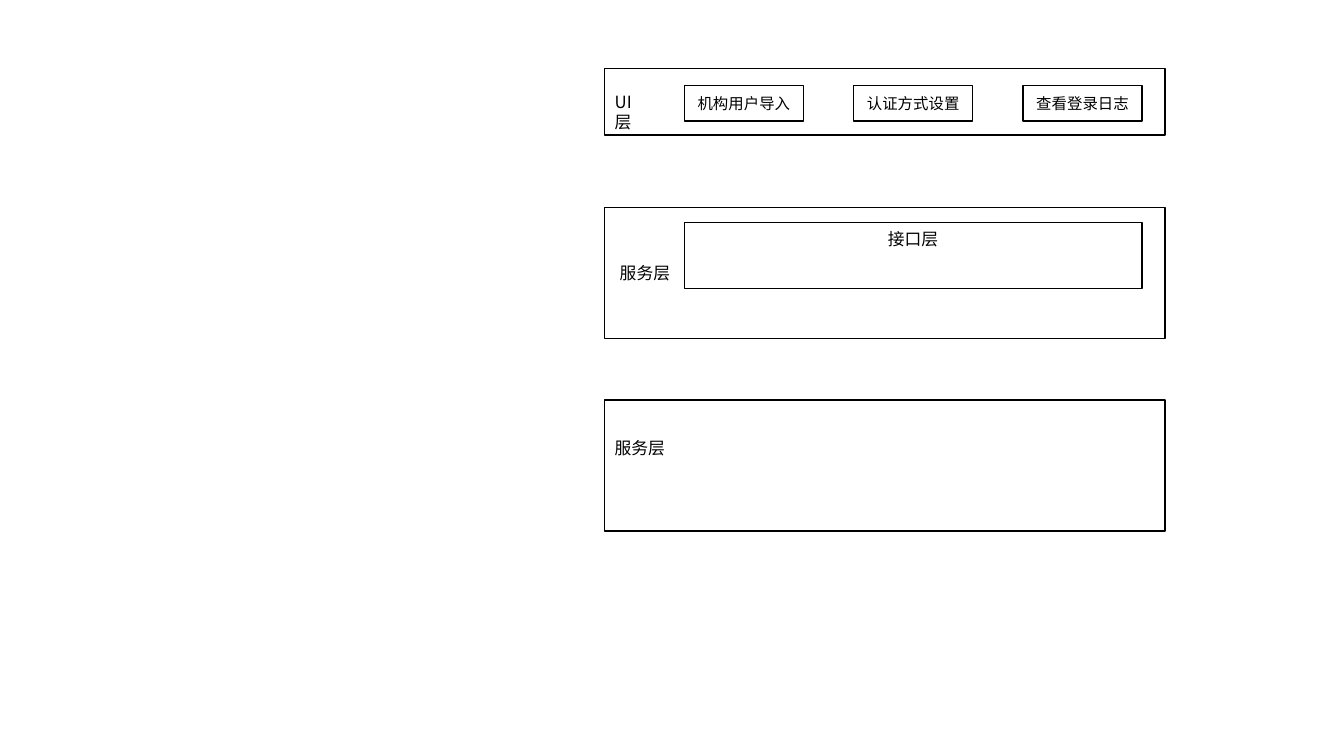
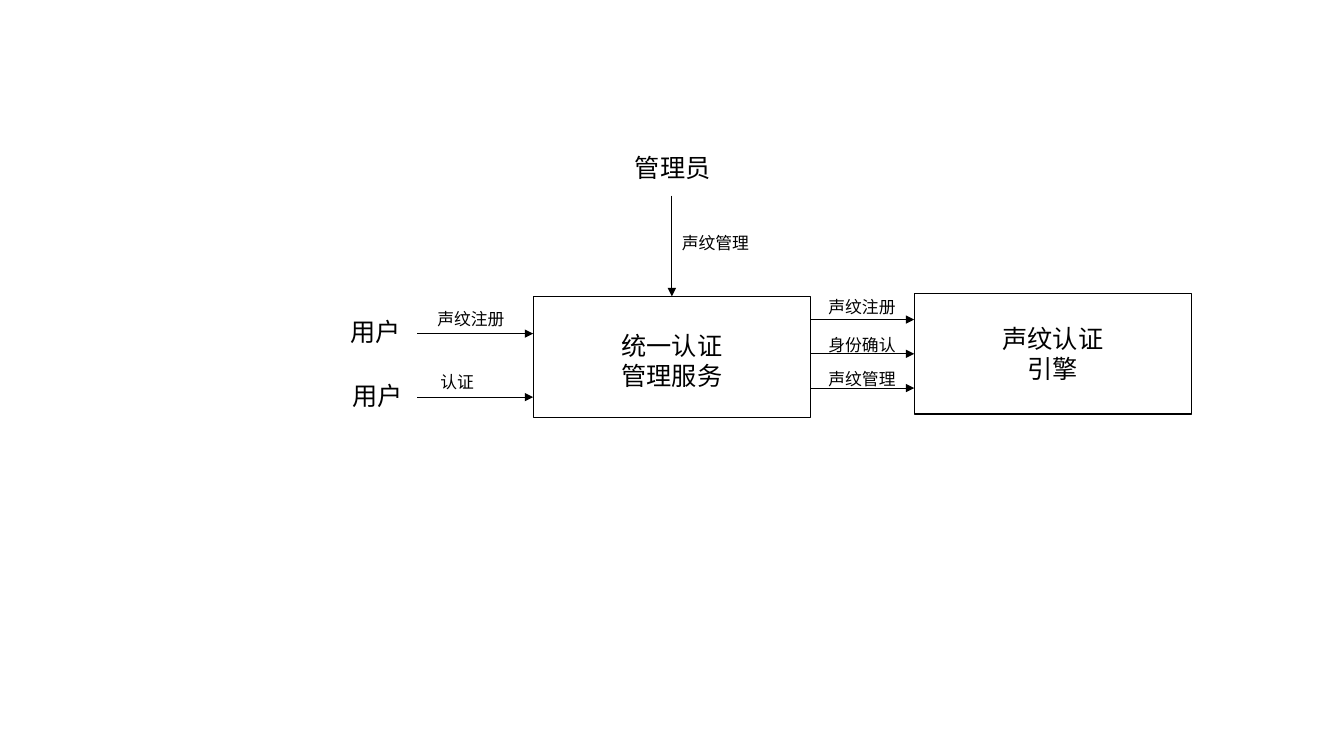
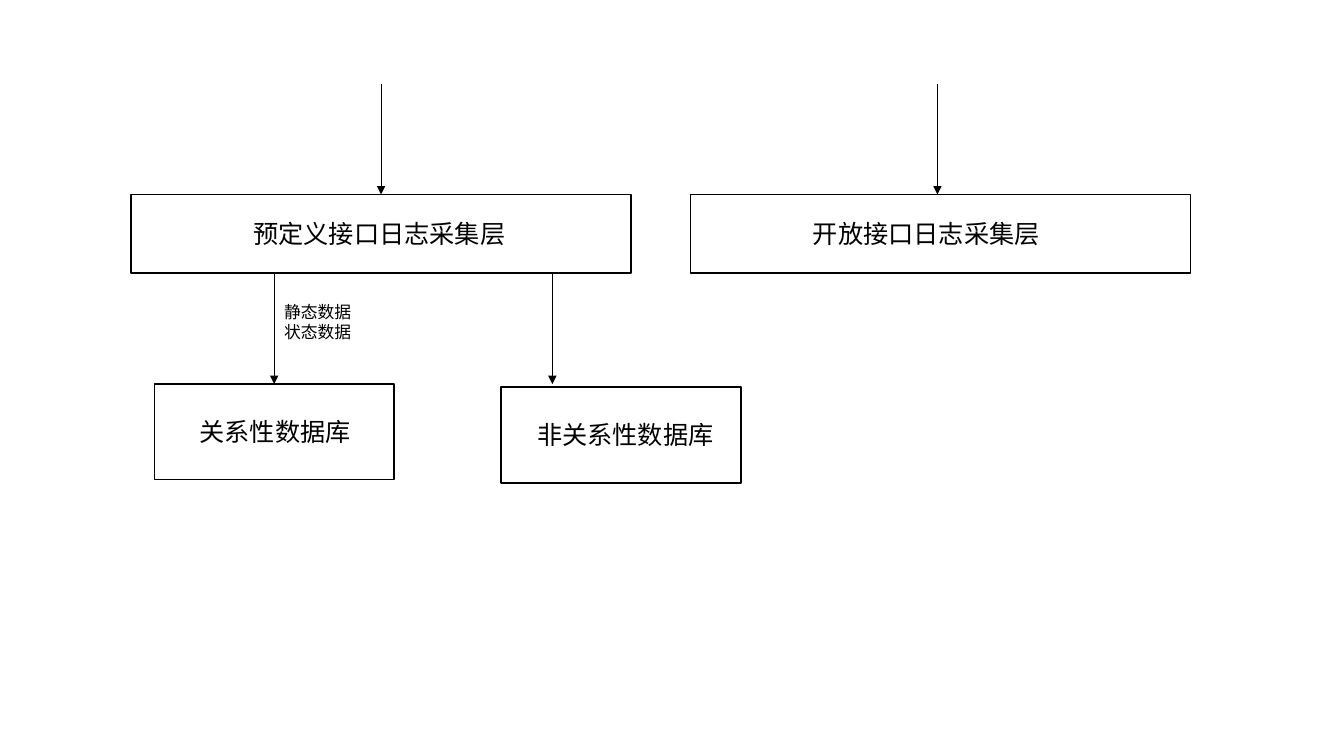
from dataclasses import dataclass

from lxml import etree
from pptx import Presentation
from pptx.dml.color import RGBColor
from pptx.enum.shapes import MSO_CONNECTOR as Connector, MSO_SHAPE as Preset
from pptx.enum.text import MSO_ANCHOR as Anchor, MSO_AUTO_SIZE as AutoSize, PP_ALIGN as Align
from pptx.oxml.ns import qn
from pptx.util import Inches, Pt


@dataclass(frozen=True)
class Theme:
    ink: RGBColor = RGBColor(0, 0, 0)
    cjk: str = "Noto Sans CJK SC"
    latin: str = "Calibri"
    button_size: int = 11
    label_size: int = 12
    name_size: int = 18
    frame_width: float = 1
    arrow_width: float = 0.5


THEME = Theme()
COLUMNS, ROWS = 133.33, 75  # square grid cells on the slide
CELL = 0.1  # inches per grid cell
INSET = 0.1  # side margin of a text box, inches


def grid(cells):
    return Inches(cells * CELL)


@dataclass(frozen=True)
class Box:
    """A region in grid cells."""
    left: float
    top: float
    width: float
    height: float

    def region(self, column, row, width, height):
        return Box(self.left + column, self.top + row, width, height)

    def point(self, column, row):
        return self.left + column, self.top + row

    def lengths(self):
        return [grid(cells) for cells in (self.left, self.top, self.width, self.height)]


# Shared parts

def style_text(frame, text, size, font, align):
    frame.text = text
    for paragraph in frame.paragraphs:
        paragraph.alignment = align
        for run in paragraph.runs:
            run.font.size = Pt(size)
            run.font.name = font
            run.font.color.rgb = THEME.ink
            east_asian = etree.SubElement(run.font._element, qn("a:ea"))
            east_asian.set("typeface", font)


def add_frame(slide, box):
    shape = slide.shapes.add_shape(Preset.RECTANGLE, *box.lengths())
    shape.shadow.inherit = False
    shape.fill.background()
    shape.line.color.rgb = THEME.ink
    shape.line.width = Pt(THEME.frame_width)
    return shape


def add_button(slide, box, text):
    frame = add_frame(slide, box).text_frame
    frame.margin_left = frame.margin_right = frame.margin_top = frame.margin_bottom = 0
    frame.vertical_anchor = Anchor.MIDDLE
    style_text(frame, text, THEME.button_size, THEME.cjk, Align.CENTER)


def add_label(slide, point, text, size=THEME.label_size, font=THEME.latin,
              width=None, align=Align.LEFT):
    """Without a width, the label is as wide as its longest line."""
    lines = text.split("\n")
    natural = (max(map(len, lines)) * size / 72 + 2 * INSET) / CELL
    height = (len(lines) * size * 1.2 / 72 + INSET) / CELL
    box = Box(*point, width or natural, height)
    frame = slide.shapes.add_textbox(*box.lengths()).text_frame
    frame.word_wrap = width is not None
    frame.auto_size = AutoSize.SHAPE_TO_FIT_TEXT
    style_text(frame, text, size, font, align)


def add_arrow(slide, start, end):
    arrow = slide.shapes.add_connector(
        Connector.STRAIGHT, *[grid(cells) for cells in (*start, *end)])
    arrow.line.color.rgb = THEME.ink
    arrow.line.width = Pt(THEME.arrow_width)
    properties = arrow._element.spPr
    etree.SubElement(properties.find(qn("a:ln")), qn("a:tailEnd")).set("type", "triangle")
    etree.SubElement(properties, qn("a:effectLst"))


# Slide 1: layers

def add_interface_layer(slide, box):
    add_frame(slide, box)
    for index, text in enumerate(("机构用户导入", "认证方式设置", "查看登录日志")):
        add_button(slide, box.region(7.9 + index * 16.8, 1.7, 11.8, 3.5), text)
    add_label(slide, box.point(0, 1.8), "UI层", font=THEME.cjk, width=5)


def add_service_layer(slide, box, label_column, label_row):
    add_frame(slide, box)
    add_label(slide, box.point(label_column, label_row), "服务层", font=THEME.cjk)


def add_endpoint_layer(slide, box):
    add_frame(slide, box)
    add_label(slide, box.point(19.2, 0.1), "接口层", font=THEME.cjk)


def layers_slide(slide, canvas):
    add_interface_layer(slide, canvas.region(60, 6.8, 55.6, 6.6))
    service = canvas.region(60, 20.6, 55.6, 13)
    add_service_layer(slide, service, 0.5, 5)
    add_service_layer(slide, canvas.region(60, 39.7, 55.6, 13), 0, 3.2)
    add_endpoint_layer(slide, service.region(7.9, 1.5, 45.4, 6.5))


# Slide 2: voiceprint authentication

def add_system(slide, box, text, text_row):
    add_frame(slide, box)
    add_label(slide, box.point(3.5, text_row), text, THEME.name_size, THEME.cjk,
              width=box.width - 7, align=Align.CENTER)


def add_administrator(slide, service):
    middle = service.width / 2
    add_arrow(slide, service.point(middle, -10), service.point(middle, 0))
    add_label(slide, service.point(middle, -6.8), "声纹管理")
    add_label(slide, service.point(9.1, -14.8), "管理员", THEME.name_size)


def add_users(slide, service):
    users = (("声纹注册", 3.7, -10.5, -19.1), ("认证", 10, -10.2, -18.9))
    for action, row, action_column, user_column in users:
        add_arrow(slide, service.point(-11.5, row), service.point(0, row))
        add_label(slide, service.point(action_column, row - 3), action)
        add_label(slide, service.point(user_column, row - 2.2), "用户", THEME.name_size)


def add_engine_calls(slide, service, engine):
    right = service.left + service.width
    calls = (("声纹注册", 2.8), ("身份确认", 2.4), ("声纹管理", 2.4))
    for index, (text, lift) in enumerate(calls):
        row = engine.top + 2.6 + index * 3.4
        add_arrow(slide, (right, row), (engine.left, row))
        add_label(slide, (right + 0.8, row - lift), text)


def authentication_slide(slide, canvas):
    service = canvas.region(52.9, 29.4, 27.5, 12)
    engine = canvas.region(90.7, 29.1, 27.5, 12)
    add_system(slide, service, "统一认证\n管理服务", 2.9)
    add_system(slide, engine, "声纹认证\n引擎", 2.5)
    add_administrator(slide, service)
    add_users(slide, service)
    add_engine_calls(slide, service, engine)


# Slide 3: log collection

def add_collector(slide, box, text, arrow_column):
    add_frame(slide, box)
    add_label(slide, box.point(11.15, 1.9), text, THEME.name_size)
    add_arrow(slide, box.point(arrow_column, -11), box.point(arrow_column, 0))


def add_database(slide, box, text, text_column, text_width):
    add_frame(slide, box)
    add_label(slide, box.point(text_column, 2.7), text, THEME.name_size, width=text_width)


def log_slide(slide, canvas):
    predefined = canvas.region(13, 19.3, 49.6, 7.8)
    add_collector(slide, predefined, "预定义接口日志采集层", 24.8)
    add_collector(slide, canvas.region(68.5, 19.3, 49.6, 7.8), "开放接口日志采集层", 24.5)
    add_database(slide, canvas.region(15.3, 38.1, 23.8, 9.5), "关系性数据库", 3.5, 19.1)
    add_database(slide, canvas.region(49.7, 38.4, 23.8, 9.5), "非关系性数据库", 2.6, 20.6)
    # Arrows from the collector down to both databases
    bottom = predefined.height
    for column in (14.2, 41.8):
        add_arrow(slide, predefined.point(column, bottom), predefined.point(column, bottom + 11))
    add_label(slide, predefined.point(14.2, 10.1), "静态数据\n状态数据")


presentation = Presentation()
presentation.slide_width, presentation.slide_height = grid(COLUMNS), grid(ROWS)
blank_layout = presentation.slide_layouts[6]
for build_slide in (layers_slide, authentication_slide, log_slide):
    build_slide(presentation.slides.add_slide(blank_layout), Box(0, 0, COLUMNS, ROWS))
presentation.save("out.pptx")
